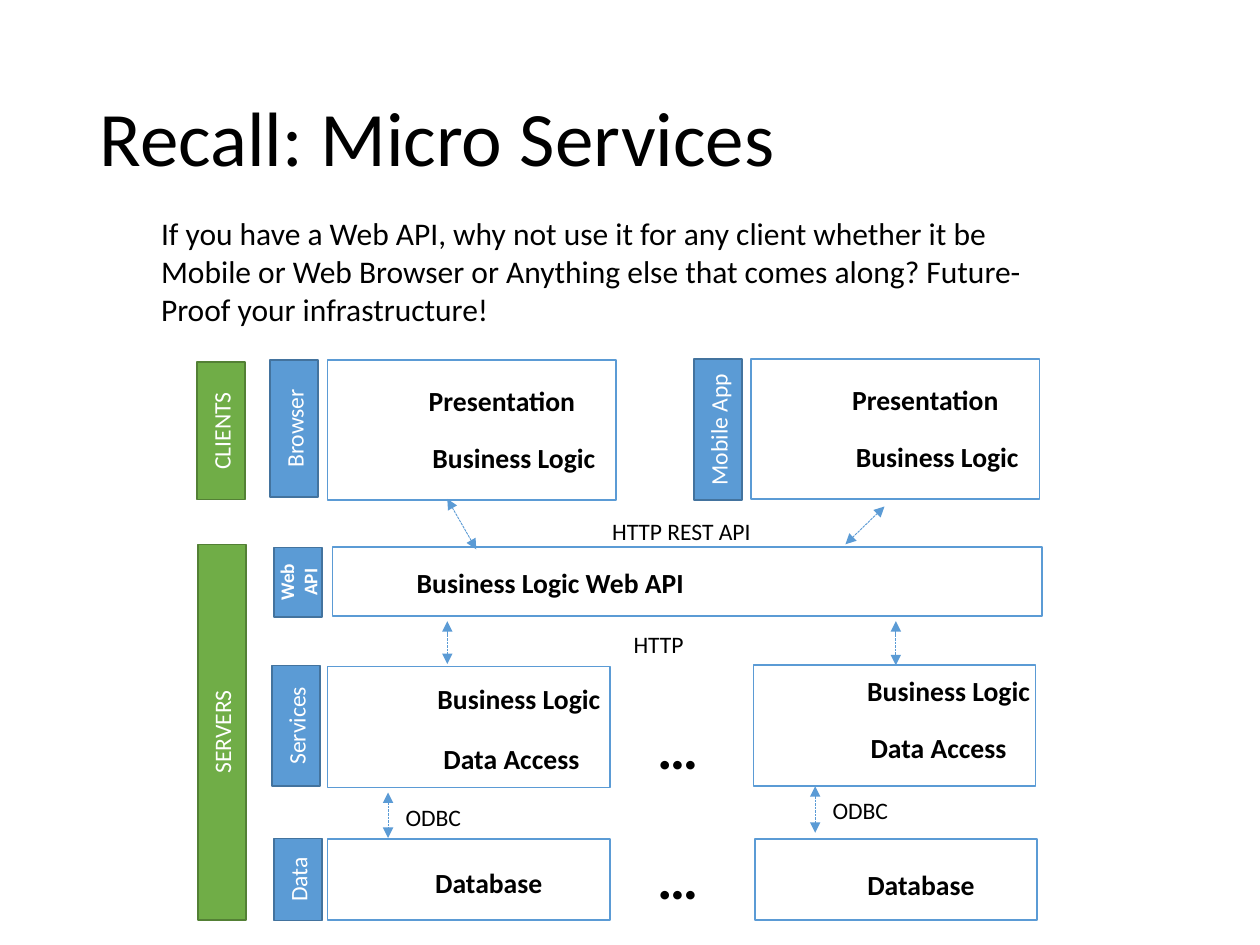
import pptx
import pptx.util
import pptx.dml.color
import pptx.enum.dml
import pptx.enum.shapes
import pptx.enum.text
import pptx.oxml.ns
import lxml.etree

COLORS = {"black": "000000", "white": "FFFFFF", "blue": "5B9BD5",
          "navy": "43739E", "green": "70AD47", "forest": "538035"}
FORMATS = {
    "title": {"size": 44, "bold": False},
    "intro": {"size": 18, "bold": False},
    "layer": {"size": 15.8, "bold": True},
    "label": {"size": 13.5, "bold": False},
    "small": {"size": 11, "bold": True},
    "dots": {"size": 33, "bold": True},
}
COLUMNS, ROWS = 100, 75
ALIGN = pptx.enum.text.PP_ALIGN
ANCHOR = pptx.enum.text.MSO_ANCHOR
RECTANGLE = pptx.enum.shapes.MSO_SHAPE.RECTANGLE


def color(name):
    return pptx.dml.color.RGBColor.from_string(COLORS[name])


class SlideBuilder:
    def __init__(self):
        self.deck = pptx.Presentation()
        self.deck.slide_width = pptx.util.Inches(10)
        self.deck.slide_height = pptx.util.Inches(7.5)
        self.page = self.deck.slides.add_slide(self.deck.slide_layouts[5])

    def place(self, *lengths):
        steps = (self.deck.slide_width / COLUMNS, self.deck.slide_height / ROWS)
        return [round(length * steps[i % 2]) for i, length in enumerate(lengths)]

    def add_text(self, box, text, style, ink="black", align=ALIGN.LEFT, spacing=None):
        para = box.text_frame.paragraphs[0]
        para.alignment = align
        if spacing:
            para.line_spacing = spacing
        span = para.add_run()
        span.text = text
        values = {**FORMATS[style], "name": "Calibri"}
        values["size"] = pptx.util.Pt(values["size"])
        for name, value in values.items():
            setattr(span.font, name, value)
        span.font.color.rgb = color(ink)

    def title(self, text, *area):
        box = self.page.shapes.title
        names = ("left", "top", "width", "height")
        for name, value in zip(names, self.place(*area)):
            setattr(box, name, value)
        box.text_frame.vertical_anchor = ANCHOR.MIDDLE
        self.add_text(box, text, "title", spacing=0.9)

    def note(self, text, style, *area, wrap=False):
        box = self.page.shapes.add_textbox(*self.place(*area))
        box.text_frame.word_wrap = wrap
        box.text_frame.auto_size = pptx.enum.text.MSO_AUTO_SIZE.SHAPE_TO_FIT_TEXT
        self.add_text(box, text, style)

    def layer(self, text, *area):
        box = self.page.shapes.add_textbox(*self.place(*area))
        frame = box.text_frame
        frame.word_wrap = True
        for side in ("left", "top", "right", "bottom"):
            setattr(frame, f"margin_{side}", 0)
        self.add_text(box, text, "layer", align=ALIGN.CENTER, spacing=0.9)

    def frame(self, *area, fill=None, edge="blue"):
        box = self.page.shapes.add_shape(RECTANGLE, *self.place(*area))
        box.shadow.inherit = False
        if fill:
            box.fill.solid()
            box.fill.fore_color.rgb = color(fill)
        else:
            box.fill.background()
        box.line.color.rgb = color(edge)
        box.line.width = pptx.util.Pt(1)
        return box

    def side_label(self, text, left, top, height, fill, edge, style="label"):
        width = 3.8
        shift = (height - width) / 2
        box = self.frame(left - shift, top + shift, height, width, fill=fill, edge=edge)
        box.rotation = 270
        box.text_frame.word_wrap = True
        box.text_frame.vertical_anchor = ANCHOR.MIDDLE
        self.add_text(box, text, style, "white", ALIGN.CENTER)

    def arrow(self, *ends):
        straight = pptx.enum.shapes.MSO_CONNECTOR.STRAIGHT
        link = self.page.shapes.add_connector(straight, *self.place(*ends))
        link.line.color.rgb = color("blue")
        link.line.width = pptx.util.Pt(0.5)
        link.line.dash_style = pptx.enum.dml.MSO_LINE.SQUARE_DOT
        properties = link._element.spPr
        outline = properties.find(pptx.oxml.ns.qn("a:ln"))
        for end in ("headEnd", "tailEnd"):
            lxml.etree.SubElement(outline, pptx.oxml.ns.qn(f"a:{end}"), type="triangle")
        lxml.etree.SubElement(properties, pptx.oxml.ns.qn("a:effectLst"))


def main():
    slide = SlideBuilder()
    slide.title("Recall: Micro Services", 6.9, 4, 86.2, 14.5)
    slide.note("If you have a Web API, why not use it for any client whether it be "
               "Mobile or Web Browser or Anything else that comes along? "
               "Future-Proof your infrastructure!",
               "intro", 11.8, 16.5, 75, 10.1, wrap=True)

    for left, top in ((26, 28.6), (59.6, 28.5)):
        slide.frame(left, top, 22.9, 11.1)
        slide.layer("Presentation", left + 6.5, top + 2.2, 14.7, 2.1)
        slide.layer("Business Logic", left + 7.4, top + 6.7, 14.8, 2.2)

    slide.frame(26.4, 43.4, 56.3, 5.5)
    slide.layer("Business Logic Web API", 32, 45.2, 23.4, 2.1)

    for left, top in ((26, 52.9), (59.8, 52.8)):
        slide.frame(left, top, 22.4, 9.6)
    for left in (26, 59.9):
        slide.frame(left, 66.6, 22.4, 6.4)
    for text, left, top, width in (
            ("Business Logic", 33.8, 54.4, 14.8), ("Business Logic", 67.9, 53.8, 14.8),
            ("Data Access", 33.2, 59.2, 14.8), ("Data Access", 67.1, 58.3, 14.8),
            ("Database", 31.8, 69, 14), ("Database", 66.1, 69.2, 14)):
        slide.layer(text, left, top, width, 2.2)

    for text, left, top, height in (("CLIENTS", 15.65, 28.75, 10.9),
                                    ("SERVERS", 15.7, 43.2, 29.8)):
        slide.side_label(text, left, top, height, "green", "forest")
    for text, left, top, height, style in (
            ("Browser", 21.45, 28.55, 10.9, "label"),
            ("Mobile App", 55.1, 28.5, 11.2, "label"),
            ("Web API", 21.75, 43.45, 5.5, "small"),
            ("Services", 21.6, 52.8, 9.6, "label"),
            ("Data", 21.75, 66.55, 6.5, "label")):
        slide.side_label(text, left, top, height, "blue", "navy", style)

    for ends in ((35.5, 39.6, 37.8, 43.6), (70.2, 40.2, 67.1, 43.2),
                 (35.5, 49.3, 35.5, 52.7), (71.1, 49.3, 71.1, 52.8),
                 (30.8, 62.9, 30.8, 66.5), (64.7, 62.4, 64.7, 66.1)):
        slide.arrow(*ends)

    for text, left, top, width in (("HTTP REST API", 47.6, 40.5, 13.2),
                                   ("HTTP", 49.3, 49.5, 6.1),
                                   ("ODBC", 31.2, 63.2, 6.5),
                                   ("ODBC", 65.1, 62.7, 6.5)):
        slide.note(text, "label", left, top, width, 3.3)
    for top in (56, 66.3):
        slide.note("…", "dots", 51.2, top, 5.3, 6.6)

    slide.deck.save("out.pptx")


if __name__ == "__main__":
    main()
